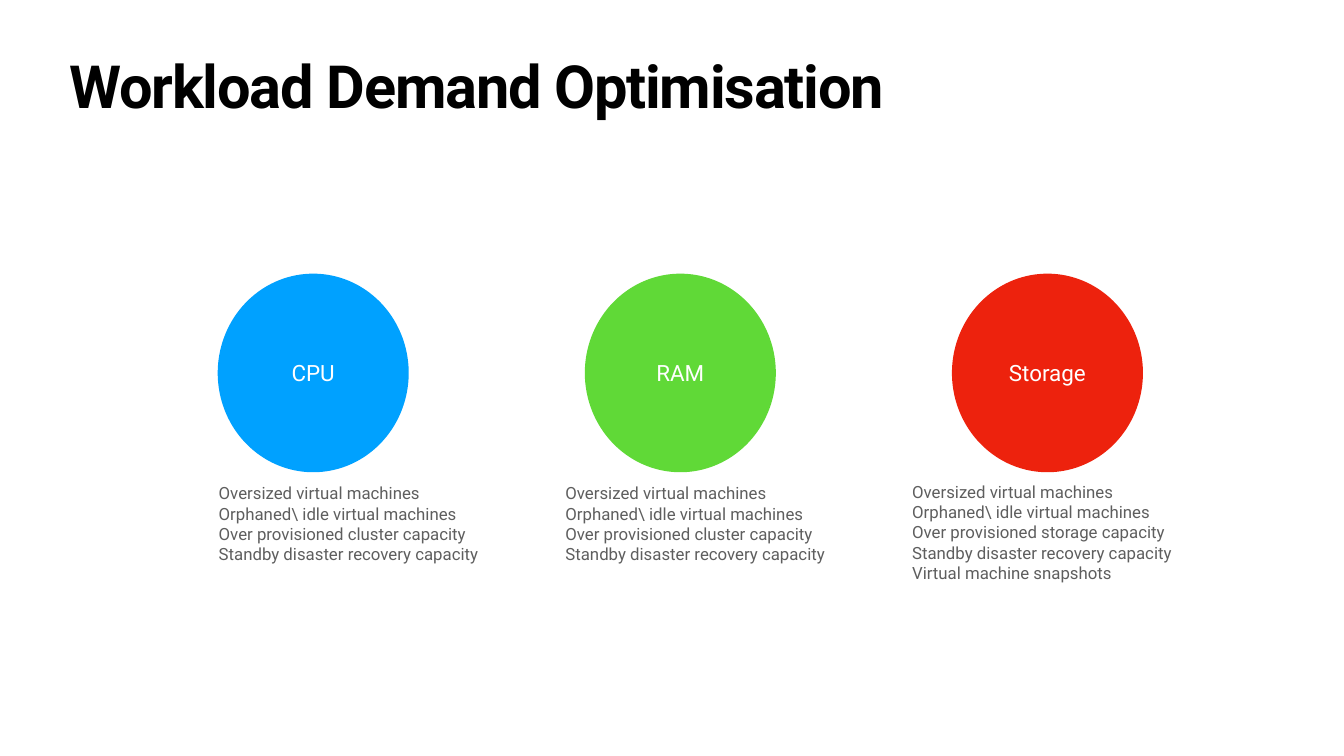
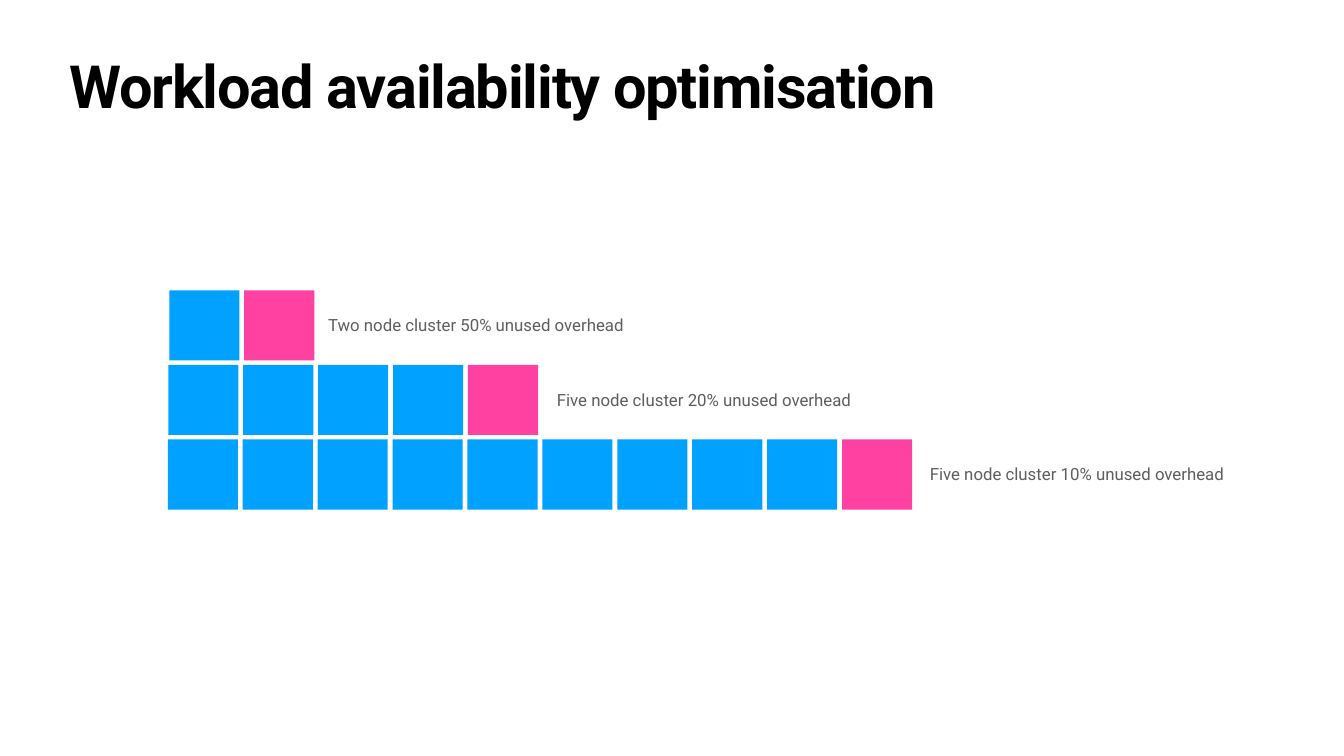
from pptx import Presentation
from pptx.dml.color import RGBColor
from pptx.enum.shapes import MSO_SHAPE
from pptx.enum.text import MSO_ANCHOR, MSO_AUTO_SIZE, PP_ALIGN
from pptx.util import Inches, Pt

OVAL, RECT = MSO_SHAPE.OVAL, MSO_SHAPE.RECTANGLE
TOP, MIDDLE = MSO_ANCHOR.TOP, MSO_ANCHOR.MIDDLE
LEFT, CENTER = PP_ALIGN.LEFT, PP_ALIGN.CENTER
GROW = MSO_AUTO_SIZE.SHAPE_TO_FIT_TEXT

FONT = "Roboto"
BLACK, WHITE, GREY = "000000", "FFFFFF", "5E5E5E"
BLUE, GREEN, RED, PINK = "00A1FF", "60D937", "ED220D", "FF42A1"


def color(code):
    """Turn a hex string into a colour."""
    return RGBColor.from_string(code)


class Deck:
    """Holds the style and the current slide."""

    def __init__(self):
        """Start an empty wide deck."""
        self.prs = Presentation()
        self.prs.slide_width = Inches(26.67)
        self.prs.slide_height = Inches(15)
        self.slide = None

    def page(self, title):
        """Add a white slide with its title."""
        self.slide = self.prs.slides.add_slide(self.prs.slide_layouts[6])
        fill = self.slide.background.fill
        fill.solid()
        fill.fore_color.rgb = color(WHITE)
        box = self.slide.shapes.add_textbox(*map(Inches, (1.32, 1.18, 24.03, 1.57)))
        self.label(box, [title], 85, BLACK, anchor=TOP)
        para = box.text_frame.paragraphs[0]
        para.line_spacing = 0.8
        run = para.runs[0]
        run.font.bold = True
        run._r.get_or_add_rPr().set("spc", "-170")

    def label(self, shape, lines, size, ink, align=LEFT, anchor=MIDDLE, wrap=True):
        """Fill a shape with one paragraph per line."""
        frame = shape.text_frame
        frame.word_wrap = wrap
        frame.vertical_anchor = anchor
        frame.margin_left = frame.margin_right = Inches(0.06)
        frame.margin_top = frame.margin_bottom = Inches(0.06)
        for i, line in enumerate(lines):
            para = frame.add_paragraph() if i else frame.paragraphs[0]
            para.alignment = align
            run = para.add_run()
            run.text = line
            run.font.name = FONT
            run.font.size = Pt(size)
            run.font.color.rgb = color(ink)

    def shape(self, kind, x, y, w, h, fill, name=None):
        """Draw a flat shape, with a name inside if given."""
        shape = self.slide.shapes.add_shape(kind, *map(Inches, (x, y, w, h)))
        shape.shadow.inherit = False
        shape.fill.solid()
        shape.fill.fore_color.rgb = color(fill)
        shape.line.fill.background()
        if name:
            self.label(shape, [name], 32, WHITE, CENTER)

    def text(self, x, y, w, h, lines, wrap=True):
        """Place grey text in a box that grows."""
        box = self.slide.shapes.add_textbox(*map(Inches, (x, y, w, h)))
        self.label(box, lines, 24, GREY, wrap=wrap)
        box.text_frame.auto_size = GROW


def demand(deck):
    """Build the slide on demand."""
    deck.page("Workload Demand Optimisation")
    groups = [
        ("CPU", BLUE, "cluster", [], 9.53, 1.71),
        ("RAM", GREEN, "cluster", [], 9.53, 1.71),
        ("Storage", RED, "storage", ["Virtual machine snapshots"], 9.5, 2.12),
    ]
    for i, (name, fill, kind, extra, y, h) in enumerate(groups):
        deck.shape(OVAL, 4.32 + 14.57 / 2 * i, 5.43, 3.79, 3.94, fill, name)
        lines = [
            "Oversized virtual machines",
            "Orphaned\\ idle virtual machines",
            f"Over provisioned {kind} capacity",
            "Standby disaster recovery capacity",
        ]
        deck.text(4.28 + 6.88 * i, y, 5.48, h, lines + extra)


def uptime(deck):
    """Build the slide on availability."""
    deck.page("Workload availability optimisation")
    side, step = 1.39, 13.38 / 9
    rows = [
        (2, 3.36, "Two node cluster 50% unused overhead", 6.45, 6.13),
        (5, 3.34, "Five node cluster 20% unused overhead", 10.99, 6.15),
        (10, 3.33, "Five node cluster 10% unused overhead", 18.39, 6.15),
    ]
    for i, (count, left, label, x, w) in enumerate(rows):
        y = 5.76 + 1.48 * i
        for j in range(count):
            fill = PINK if j == count - 1 else BLUE
            deck.shape(RECT, left + step * j, y, side, side, fill)
        deck.text(x, y + 0.44, w, 0.5, [label], wrap=False)


def main():
    """Build and save the deck."""
    deck = Deck()
    demand(deck)
    uptime(deck)
    deck.prs.save("out.pptx")


if __name__ == "__main__":
    main()
